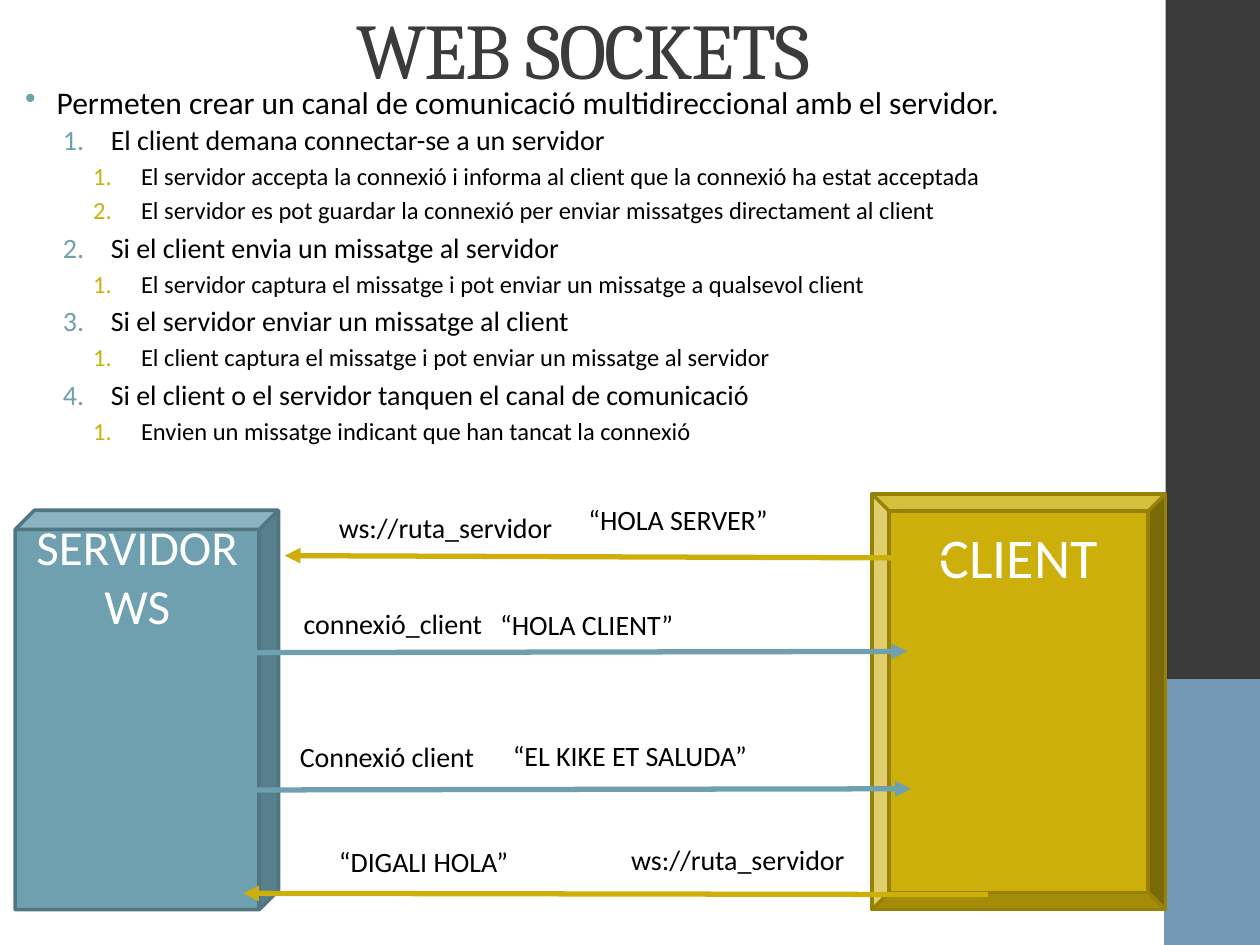
"""Build a slide on the message exchange between a web socket server and its client."""
from lxml import etree
from pptx import Presentation
from pptx import util as u
from pptx.dml.color import RGBColor
from pptx.enum import shapes, text
from pptx.oxml.ns import qn

TEAL, GOLD = RGBColor(0x6E, 0xA0, 0xB0), RGBColor(0xCC, 0xAF, 0x0A)
DARK_TEAL, DARK_GOLD = RGBColor(0x51, 0x76, 0x82), RGBColor(0x97, 0x81, 0x07)
CHARCOAL, BLUE = RGBColor(0x3B, 0x3B, 0x3B), RGBColor(0x73, 0x98, 0xB6)
BLACK, WHITE = RGBColor(0, 0, 0), RGBColor(255, 255, 255)

WIDTH, HEIGHT = 10, 7.5
SIDEBAR = 0.75
SIDE_LEFT = WIDTH - SIDEBAR
BODY_INSETS, LABEL_INSETS = (0.11, 0.06), (0.02, 0.01)

TITLE = "WEB SOCKETS"
INTRO = "Permeten crear un canal de comunicació multidireccional amb el servidor."
STEPS = [
    ("El client demana connectar-se a un servidor", [
        "El servidor accepta la connexió i informa al client que la connexió ha estat acceptada",
        "El servidor es pot guardar la connexió per enviar missatges directament al client"]),
    ("Si el client envia un missatge al servidor", [
        "El servidor captura el missatge i pot enviar un missatge a qualsevol client"]),
    ("Si el servidor enviar un missatge al client", [
        "El client captura el missatge i pot enviar un missatge al servidor"]),
    ("Si el client o el servidor tanquen el canal de comunicació", [
        "Envien un missatge indicant que han tancat la connexió"]),
]
LEVELS = [(16, 0.47, TEAL), (14, 0.71, GOLD)]
BLOCKS = [
    (shapes.MSO_SHAPE.CUBE, (0.12, 4.05, 2.09, 3.17), 0.073, TEAL, DARK_TEAL,
     ["SERVIDOR", "WS"], 28, -0.1),
    (shapes.MSO_SHAPE.BEVEL, (6.92, 3.92, 2.33, 3.3), 0.059, GOLD, DARK_GOLD,
     ["CLIENT"], 32, 0.09),
]
MESSAGES = [
    (GOLD, (7.69, 4.43), (2.26, 4.41),
     [("ws://ruta_servidor", 2.67, 4.04), ("“HOLA SERVER”", 4.65, 3.98)]),
    (TEAL, (1.93, 5.18), (7.2, 5.17),
     [("connexió_client", 2.39, 4.8), ("“HOLA CLIENT”", 3.95, 4.81)]),
    (TEAL, (1.96, 6.27), (7.23, 6.26),
     [("Connexió client", 2.36, 5.86), ("“EL KIKE ET SALUDA”", 4.05, 5.85)]),
    (GOLD, (7.84, 7.1), (1.93, 7.09),
     [("ws://ruta_servidor", 4.99, 6.68), ("“DIGALI HOLA”", 2.67, 6.69)]),
]


def inches(values):
    return [u.Inches(value) for value in values]


def add_block(page, kind, place, fill, line=None):
    block = page.shapes.add_shape(kind, *inches(place))
    block.shadow.inherit = False
    block.fill.solid()
    block.fill.fore_color.rgb = fill
    if line is None:
        block.line.fill.background()
    else:
        block.line.color.rgb = line
        block.line.width = u.Pt(2)
    return block


def set_insets(frame, side, top):
    frame.word_wrap = True
    frame.margin_left = frame.margin_right = u.Inches(side)
    frame.margin_top = frame.margin_bottom = u.Inches(top)


def add_box(page, place, insets):
    box = page.shapes.add_textbox(*inches(place))
    set_insets(box.text_frame, *insets)
    return box.text_frame


def write(para, words, size, color, font="Calibri"):
    span = para.add_run()
    span.text = words
    para.font.size = u.Pt(size)
    para.font.name = font
    para.font.color.rgb = color
    return span


def set_bullet(para, color, margin, indent, tag, **settings):
    props = para._p.get_or_add_pPr()
    props.set("marL", str(u.Inches(margin)))
    props.set("indent", str(u.Inches(-indent)))
    tint = etree.SubElement(props, qn("a:buClr"))
    etree.SubElement(tint, qn("a:srgbClr"), val=str(color))
    etree.SubElement(props, qn(tag), **settings)


def add_arrow(page, start, end, color):
    arrow = page.shapes.add_connector(shapes.MSO_CONNECTOR.STRAIGHT, *inches(start + end))
    arrow.line.color.rgb = color
    arrow.line.width = u.Pt(3)
    etree.SubElement(arrow.line._get_or_add_ln(), qn("a:tailEnd"), type="triangle")
    etree.SubElement(arrow._element.spPr, qn("a:effectLst"))


def add_outline(page):
    frame = add_box(page, (0.3, 0.91, 9.26, 3.09), BODY_INSETS)
    items = [item for step, details in STEPS
             for item in [(0, step)] + [(1, detail) for detail in details]]
    for index, (level, words) in enumerate(items):
        size, margin, color = LEVELS[level]
        para = frame.add_paragraph() if index else frame.paragraphs[0]
        para.level = level
        set_bullet(para, color, margin, 0.38, "a:buAutoNum", type="arabicPeriod")
        para.space_before = u.Pt(size * 0.2)
        write(para, words, size, BLACK)


def main():
    deck = Presentation()
    deck.slide_width, deck.slide_height = inches((WIDTH, HEIGHT))
    page = deck.slides.add_slide(deck.slide_layouts[6])

    rectangle = shapes.MSO_SHAPE.RECTANGLE
    add_block(page, rectangle, (SIDE_LEFT, 0, SIDEBAR, HEIGHT), CHARCOAL)
    add_block(page, rectangle, (SIDE_LEFT, 5.4, SIDEBAR, 2.1), BLUE, BLUE)
    add_outline(page)

    title = add_box(page, (0, 0.02, 9.26, 0.73), BODY_INSETS)
    title.vertical_anchor = text.MSO_ANCHOR.MIDDLE
    title.paragraphs[0].alignment = text.PP_ALIGN.CENTER
    span = write(title.paragraphs[0], TITLE, 45, CHARCOAL, "Cambria")
    span._r.get_or_add_rPr().set("spc", "-100")

    intro = add_box(page, (-0.03, 0.6, 9.26, 0.41), BODY_INSETS).paragraphs[0]
    set_bullet(intro, TEAL, 0.37, 0.25, "a:buChar", char="•")
    intro.space_before = u.Pt(3.6)
    write(intro, INTRO, 18, BLACK)

    for kind, place, depth, fill, line, lines, size, top in BLOCKS:
        block = add_block(page, kind, place, fill, line)
        block.adjustments[0] = depth
        frame = block.text_frame
        set_insets(frame, 0.1, top)
        frame.vertical_anchor = text.MSO_ANCHOR.TOP
        for index, words in enumerate(lines):
            para = frame.add_paragraph() if index else frame.paragraphs[0]
            para.alignment = text.PP_ALIGN.CENTER
            write(para, words, size, WHITE)

    for color, start, end, labels in MESSAGES:
        for words, left, top in labels:
            label = add_box(page, (left, top, 2.97, 0.38), LABEL_INSETS)
            write(label.paragraphs[0], words, 16, BLACK)
        add_arrow(page, start, end, color)

    deck.save("out.pptx")


if __name__ == "__main__":
    main()
